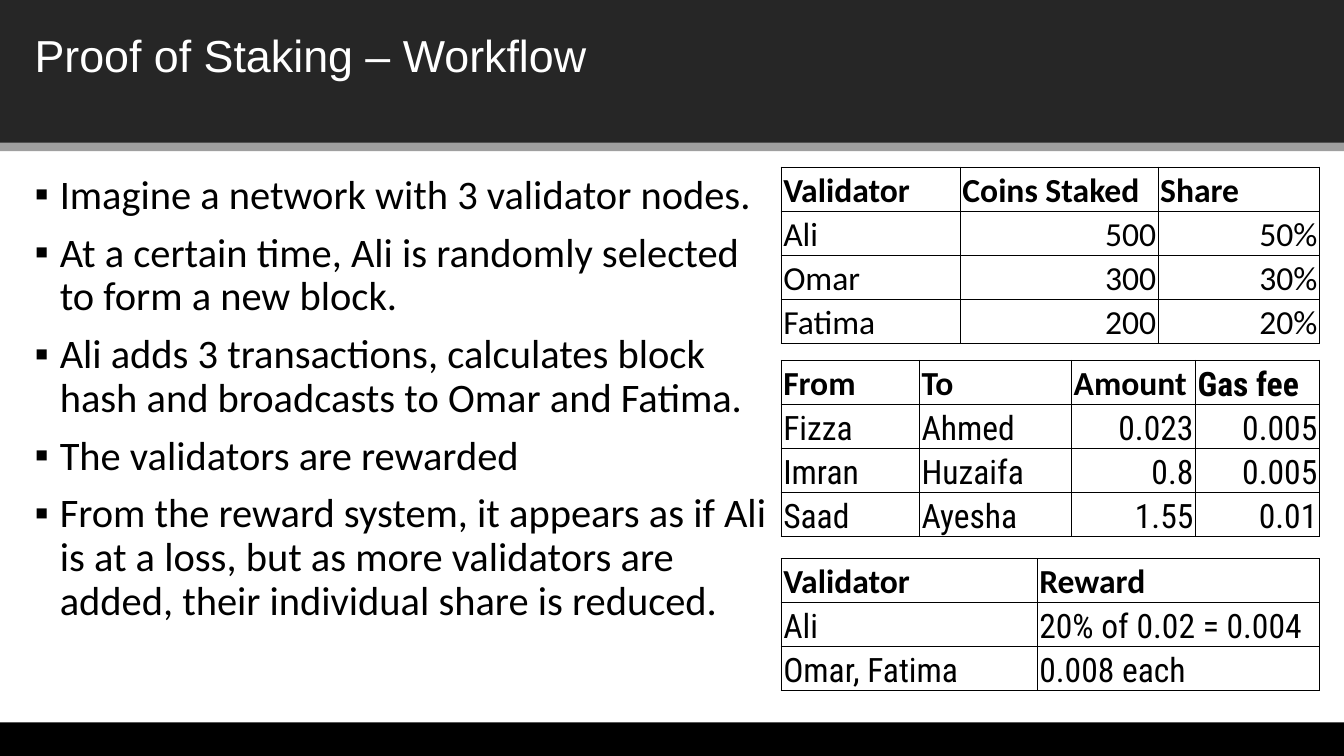
from lxml import etree
from pptx import Presentation
from pptx.dml.color import RGBColor
from pptx.enum.shapes import MSO_SHAPE
from pptx.enum.text import MSO_ANCHOR, MSO_AUTO_SIZE, PP_ALIGN
from pptx.oxml.ns import qn
from pptx.util import Pt

RECTANGLE = MSO_SHAPE.RECTANGLE
TOP, BOTTOM = MSO_ANCHOR.TOP, MSO_ANCHOR.BOTTOM
NO_AUTOFIT = MSO_AUTO_SIZE.NONE
LEFT, RIGHT = PP_ALIGN.LEFT, PP_ALIGN.RIGHT

COLORS = {
    "header": "262626",
    "rule": "9F9F9F",
    "black": "000000",
    "white": "FFFFFF",
}
HEADING, BODY, CONDENSED = "Arial", "Calibri", "Roboto Condensed"
TABLE_LEFT, ROW_HEIGHT = 558, 31.5

POINTS = [
    "Imagine a network with 3 validator nodes.",
    "At a certain time, Ali is randomly selected to form a new block.",
    "Ali adds 3 transactions, calculates block hash and broadcasts to Omar and Fatima.",
    "The validators are rewarded",
    "From the reward system, it appears as if Ali is at a loss, but as more "
    "validators are added, their individual share is reduced.",
]
STAKES = [
    ["Validator", "Coins Staked", "Share"],
    ["Ali", "500", "50%"],
    ["Omar", "300", "30%"],
    ["Fatima", "200", "20%"],
]
TRANSACTIONS = [
    ["From", "To", "Amount", "Gas fee"],
    ["Fizza", "Ahmed", "0.023", "0.005"],
    ["Imran", "Huzaifa", "0.8", "0.005"],
    ["Saad", "Ayesha", "1.55", "0.01"],
]
REWARDS = [
    ["Validator", "Reward"],
    ["Ali", "20% of 0.02 = 0.004"],
    ["Omar, Fatima", "0.008 each"],
]


def color(name):
    return RGBColor.from_string(COLORS[name])


class SlideBuilder:
    def __init__(self, slide):
        self.slide = slide
        self.shapes = slide.shapes

    def style(self, paragraph, font, size, ink="black", bold=False):
        for run in paragraph.runs:
            run.font.name = font
            run.font.size = Pt(size)
            run.font.bold = bold
            run.font.color.rgb = color(ink)

    def band(self, left, top, width, height, fill):
        band = self.shapes.add_shape(RECTANGLE, Pt(left), Pt(top), Pt(width), Pt(height))
        band.shadow.inherit = False
        band.fill.solid()
        band.fill.fore_color.rgb = color(fill)
        band.line.fill.background()

    def place(self, placeholder, left, top, width, height):
        placeholder.left, placeholder.top = Pt(left), Pt(top)
        placeholder.width, placeholder.height = Pt(width), Pt(height)
        self.shapes._spTree.append(placeholder._element)
        frame = placeholder.text_frame
        frame.word_wrap = True
        frame.auto_size = NO_AUTOFIT
        frame.vertical_anchor = TOP
        return frame

    def title(self, text, *box):
        frame = self.place(self.shapes.title, *box)
        frame.text = text
        heading = frame.paragraphs[0]
        heading.alignment = LEFT
        self.style(heading, HEADING, 32, "white")

    def bullets(self, points, *box):
        frame = self.place(self.slide.placeholders[1], *box)
        frame.text = "\n".join(points)
        for index, point in enumerate(frame.paragraphs):
            properties = point._p.get_or_add_pPr()
            properties.set("marL", str(Pt(18)))
            properties.set("indent", str(-Pt(18)))
            etree.SubElement(properties, qn("a:buChar"), char="▪")
            point.line_spacing = 0.9
            point.space_before = Pt(10 if index else 0)
            point.space_after = Pt(0)
            self.style(point, BODY, 28.9)

    def border(self, cell):
        properties = cell._tc.get_or_add_tcPr()
        for side in ("lnL", "lnR", "lnT", "lnB"):
            line = etree.SubElement(properties, qn(f"a:{side}"), w=str(Pt(1)))
            fill = etree.SubElement(line, qn("a:solidFill"))
            etree.SubElement(fill, qn("a:srgbClr"), val=COLORS["black"])

    def table(self, rows, top, widths, numeric=(), body_font=BODY, condensed_headers=()):
        table = self.shapes.add_table(
            len(rows), len(widths), Pt(TABLE_LEFT), Pt(top),
            Pt(sum(widths)), Pt(ROW_HEIGHT * len(rows)),
        ).table
        table.first_row = table.horz_banding = False
        for column, width in zip(table.columns, widths):
            column.width = Pt(width)
        for row_index, row in enumerate(rows):
            table.rows[row_index].height = Pt(ROW_HEIGHT)
            is_header = row_index == 0
            for column_index, value in enumerate(row):
                cell = table.cell(row_index, column_index)
                self.border(cell)
                cell.fill.solid()
                cell.fill.fore_color.rgb = color("white")
                cell.vertical_anchor = BOTTOM
                cell.margin_left = cell.margin_right = cell.margin_top = Pt(1.5)
                cell.margin_bottom = 0
                cell.text_frame.text = value
                entry = cell.text_frame.paragraphs[0]
                is_number = column_index in numeric and not is_header
                entry.alignment = RIGHT if is_number else LEFT
                header_font = CONDENSED if value in condensed_headers else BODY
                self.style(entry, header_font if is_header else body_font, 24, bold=is_header)


def main():
    deck = Presentation()
    deck.slide_width, deck.slide_height = Pt(960), Pt(540)
    builder = SlideBuilder(deck.slides.add_slide(deck.slide_layouts[1]))
    builder.band(-0.5, -0.5, 960.5, 103, "header")
    builder.band(-0.5, 102, 960.5, 6, "rule")
    builder.band(-1.5, 516, 961.5, 24, "black")
    builder.title("Proof of Staking – Workflow", 17.5, 16, 924.5, 46)
    builder.bullets(POINTS, 17.5, 121, 540.5, 385)
    builder.table(STAKES, 119.5, [128, 141.3, 115.2], numeric=(1, 2))
    builder.table(TRANSACTIONS, 257.5, [98.8, 108.7, 88.5, 88.5], numeric=(2, 3),
                  body_font=CONDENSED, condensed_headers=("Gas fee",))
    builder.table(REWARDS, 399, [182.9, 201.6], body_font=CONDENSED)
    deck.save("out.pptx")


if __name__ == "__main__":
    main()
